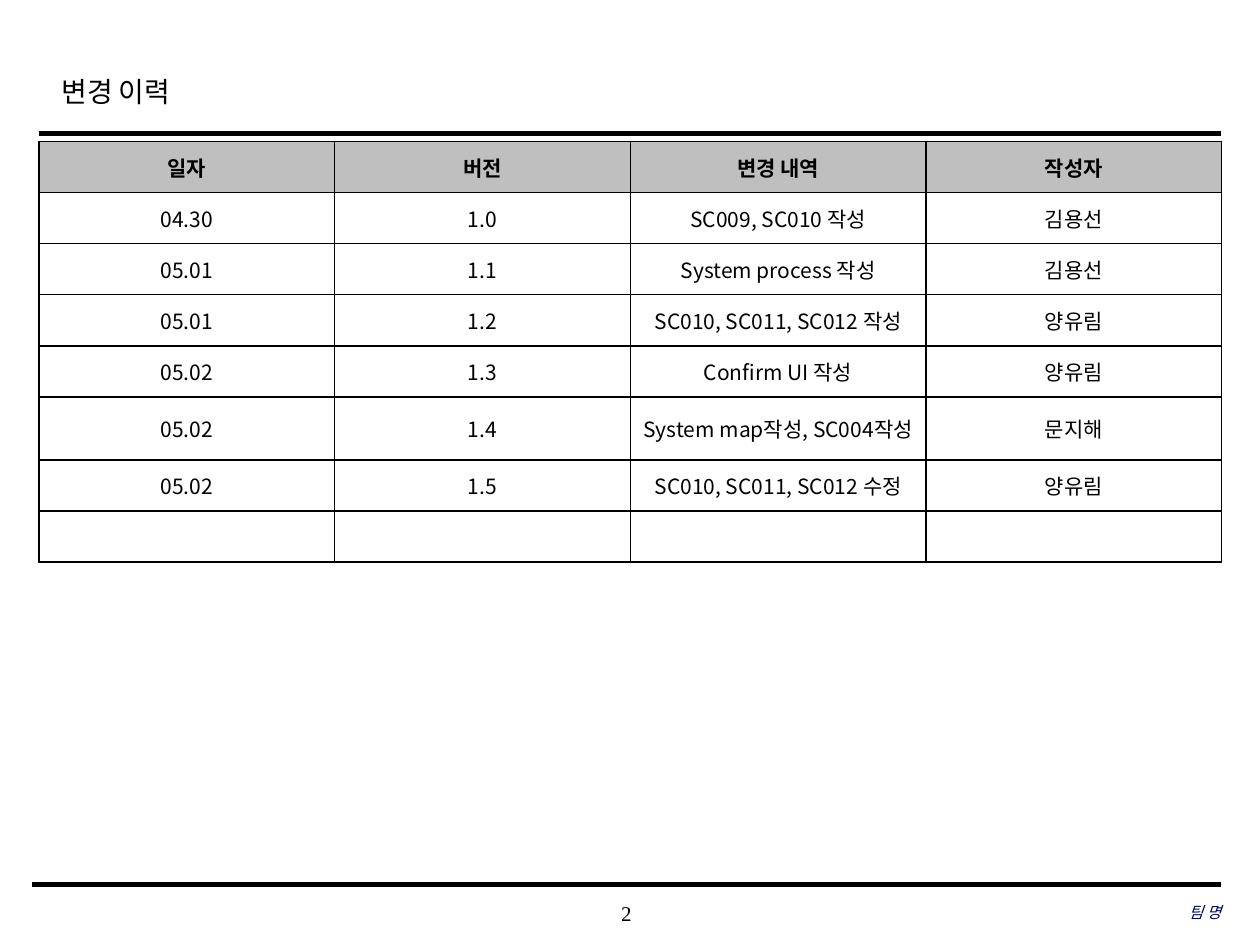
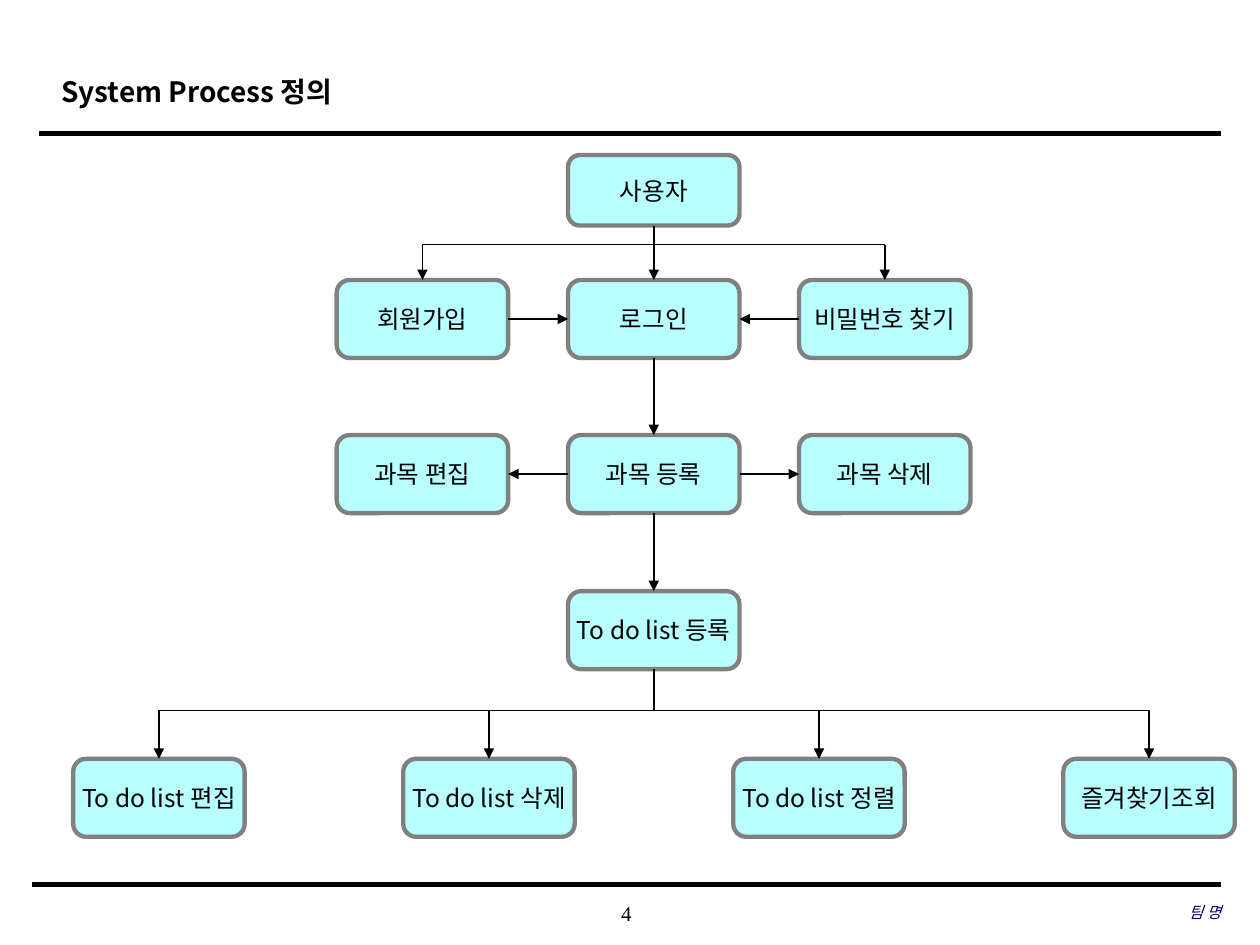
import pptx
import pptx.util
import pptx.dml.color
import pptx.enum.text
import pptx.enum.shapes
import pptx.oxml
import pptx.oxml.ns

Pt = pptx.util.Pt
RGB = pptx.dml.color.RGBColor.from_string
ALIGN = pptx.enum.text.PP_ALIGN
MID = pptx.enum.text.MSO_ANCHOR.MIDDLE
SHAPE = pptx.enum.shapes.MSO_SHAPE
qn = pptx.oxml.ns.qn
make = pptx.oxml.xmlchemy.OxmlElement

SANS, SERIF = "Noto Sans CJK KR", "Times New Roman"
HUES = {"ink": "000000", "team": "000066", "head": "BFBFBF",
        "cell": "FFFFFF", "box": "B8FFFF", "edge": "808080"}


def write(frame, text, size, align=ALIGN.CENTER, face=SANS, hue="ink",
          bold=False, slant=False):
    para = frame.paragraphs[0]
    para.text = text
    para.alignment = align
    font = para.font
    font.size, font.bold, font.italic = Pt(size), bold, slant
    font.color.rgb = RGB(HUES[hue])
    font.name = face
    east = make("a:ea")
    east.set("typeface", SANS)
    para._p.pPr.find(qn("a:defRPr")).append(east)
    return para


def draw(slide, x1, y1, x2, y2, width=1, arrow=False):
    line = slide.shapes.add_connector(
        pptx.enum.shapes.MSO_CONNECTOR.STRAIGHT, Pt(x1), Pt(y1), Pt(x2), Pt(y2))
    line.line.color.rgb = RGB(HUES["ink"])
    line.line.width = Pt(width)
    if arrow:
        tip = make("a:tailEnd")
        tip.set("type", "triangle")
        line.line._get_or_add_ln().append(tip)
    line._element.spPr.append(make("a:effectLst"))
    return line


deck = pptx.Presentation()
deck.slide_width, deck.slide_height = Pt(720), Pt(540)

# Shared frame: title, rules, page number, team name
pages = []
for title, bold, face, number in (("변경 이력", False, SERIF, "2"),
                                  ("System Process 정의", True, SANS, "4")):
    page = deck.slides.add_slide(deck.slide_layouts[6])
    pages.append(page)
    draw(page, 22.3, 76.3, 697.7, 76.3, 2.5)
    draw(page, 18, 505.4, 697.7, 505.4, 3)
    head = page.shapes.add_textbox(Pt(28), Pt(35.3), Pt(543.6), Pt(36)).text_frame
    head.word_wrap = True
    write(head, title, 16, ALIGN.LEFT, face, bold=bold).line_spacing = 1.2
    for x, y, wide, text, size, align, hue, slant in (
            (283, 509.8, 150, number, 12, ALIGN.CENTER, "ink", False),
            (477.4, 509, 220.3, "팀 명", 9, ALIGN.RIGHT, "team", True)):
        foot = page.shapes.add_textbox(Pt(x), Pt(y), Pt(wide), Pt(24)).text_frame
        foot.margin_left = foot.margin_right = 0
        foot.margin_top = foot.margin_bottom = 0
        foot.word_wrap = True
        foot.vertical_anchor = MID
        write(foot, text, size, align, SERIF, hue, slant=slant)
log, flow = pages

# Change history table
rows = [
    ("일자", "버전", "변경 내역", "작성자"),
    ("04.30", "1.0", "SC009, SC010 작성", "김용선"),
    ("05.01", "1.1", "System process 작성", "김용선"),
    ("05.01", "1.2", "SC010, SC011, SC012 작성", "양유림"),
    ("05.02", "1.3", "Confirm UI 작성", "양유림"),
    ("05.02", "1.4", "System map작성, SC004작성", "문지해"),
    ("05.02", "1.5", "SC010, SC011, SC012 수정", "양유림"),
    ("", "", "", ""),
]
high = 29.2
grid = log.shapes.add_table(len(rows), 4, Pt(22.2), Pt(80.8), Pt(676),
                            Pt(high * len(rows))).table
for r, row in enumerate(rows):
    grid.rows[r].height = Pt(high)
    for c, text in enumerate(row):
        cell = grid.cell(r, c)
        cell.vertical_anchor = MID
        cell.margin_top = cell.margin_bottom = Pt(3.6 if text else 0)
        write(cell.text_frame, text, 12, bold=r == 0)
        props = cell._tc.get_or_add_tcPr()
        for side in ("a:lnL", "a:lnR", "a:lnT", "a:lnB"):
            edge = make(side)
            edge.set("w", str(Pt(1)))
            paint = make("a:solidFill")
            color = make("a:srgbClr")
            color.set("val", HUES["ink"])
            paint.append(color)
            edge.append(paint)
            props.append(edge)
        cell.fill.solid()
        cell.fill.fore_color.rgb = RGB(HUES["cell" if r else "head"])

# Process boxes, placed by centre and top
wide, tall = 98, 44.6
left, mid, right = 241.4, 373.6, 505.6
low = [90.8 + 188.6 * i for i in range(4)]
top, sign, course, todo, last = 88.6, 160, 248.6, 337.8, 433.6
boxes = {}
for text, x, y in (
        ("사용자", mid, top),
        ("회원가입", left, sign), ("로그인", mid, sign), ("비밀번호 찾기", right, sign),
        ("과목 편집", left, course), ("과목 등록", mid, course),
        ("과목 삭제", right, course), ("To do list 등록", mid, todo),
        *zip(("To do list 편집", "To do list 삭제", "To do list 정렬", "즐겨찾기조회"),
             low, [last] * 4)):
    box = flow.shapes.add_shape(SHAPE.ROUNDED_RECTANGLE, Pt(x - wide / 2), Pt(y),
                                Pt(wide), Pt(40.3 if y == top else tall))
    box.shadow.inherit = False
    box.fill.solid()
    box.fill.fore_color.rgb = RGB(HUES["box"])
    box.line.color.rgb = RGB(HUES["edge"])
    box.line.width = Pt(2.5)
    box.text_frame.word_wrap = False
    box.text_frame.vertical_anchor = MID
    write(box.text_frame, text, 14)
    boxes[text] = box

# Arrows glued from box to box (sites: 0 top, 1 left, 2 bottom, 3 right)
for start, out, end, into in (
        ("사용자", 2, "로그인", 0), ("회원가입", 3, "로그인", 1),
        ("비밀번호 찾기", 1, "로그인", 3), ("로그인", 2, "과목 등록", 0),
        ("과목 등록", 1, "과목 편집", 3), ("과목 등록", 3, "과목 삭제", 1),
        ("과목 등록", 2, "To do list 등록", 0)):
    link = draw(flow, 0, 0, 0, 0, arrow=True)
    link.begin_connect(boxes[start], out)
    link.end_connect(boxes[end], into)

# Branch rails with their drops
draw(flow, mid, todo + tall, mid, 406)
for rail, drops, y in ((139.8, (left, right), sign), (406, low, last)):
    draw(flow, drops[0], rail, drops[-1], rail)
    for x in drops:
        draw(flow, x, rail, x, y, arrow=True)

deck.save("out.pptx")
